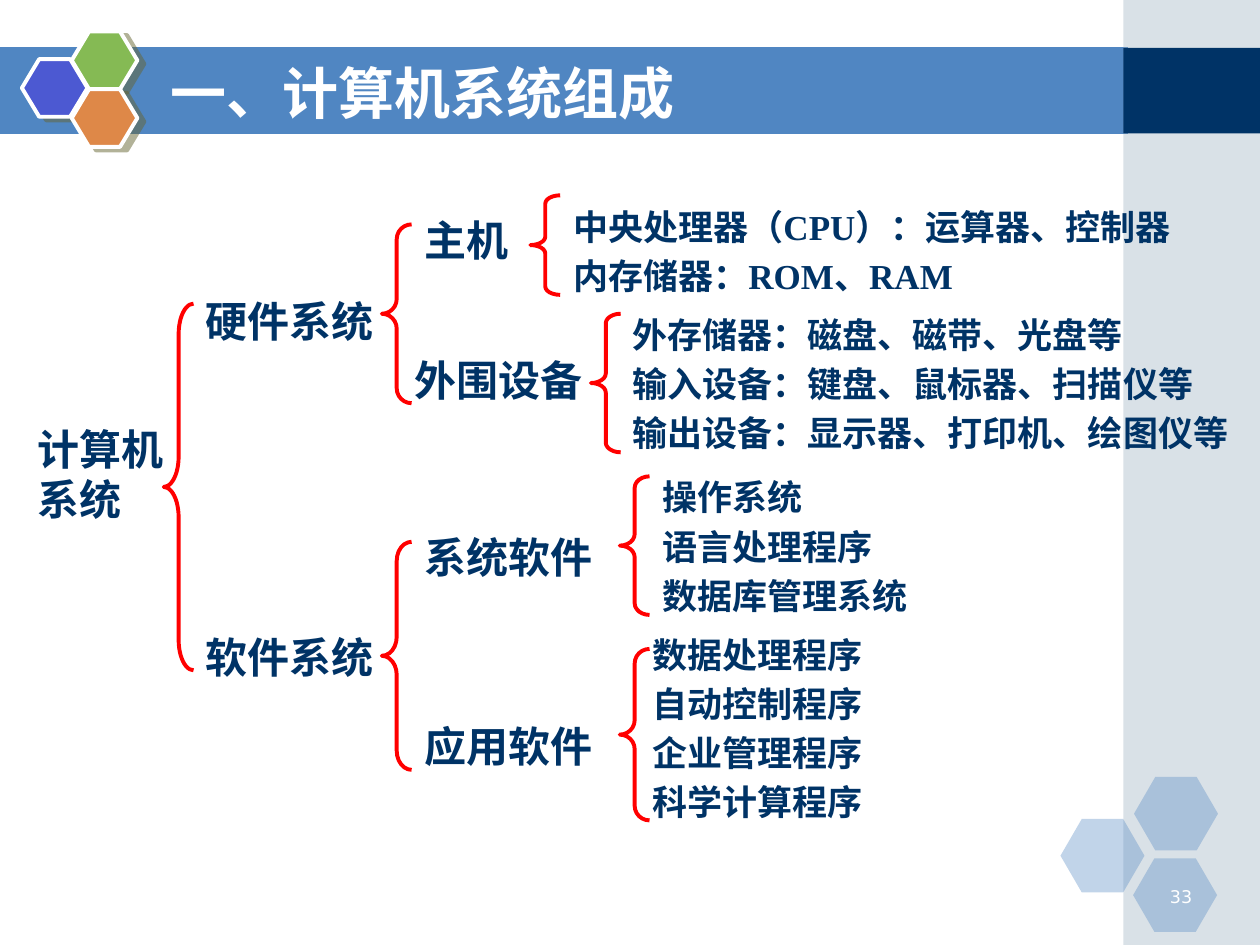
"""Build the slide on the composition of a computer system."""
from typing import NamedTuple, Optional

from lxml.etree import SubElement
from pptx import Presentation
from pptx.dml.color import RGBColor
from pptx.enum.shapes import MSO_SHAPE
from pptx.enum.text import MSO_ANCHOR, MSO_AUTO_SIZE, PP_ALIGN
from pptx.oxml.ns import qn
from pptx.util import Pt

WHITE = RGBColor(0xFF, 0xFF, 0xFF)
NAVY = RGBColor(0x00, 0x33, 0x66)
BLUE = RGBColor(0x50, 0x86, 0xC2)
GREY = RGBColor(0xA0, 0xB5, 0xC4)
INDIGO = RGBColor(0x4C, 0x59, 0xD2)
GREEN = RGBColor(0x85, 0xBA, 0x54)
ORANGE = RGBColor(0xDE, 0x88, 0x48)
RED = RGBColor(0xFF, 0x00, 0x00)
SERIF = "Times New Roman"
SANS = "Noto Sans CJK SC"


class Block(NamedTuple):
    left: float
    top: float
    width: float
    height: float
    color: RGBColor
    kind: MSO_SHAPE = MSO_SHAPE.RECTANGLE
    alpha: Optional[int] = None
    adj: Optional[float] = None
    badge: bool = False


class Label(NamedTuple):
    left: float
    top: float
    width: float
    height: float
    lines: tuple
    size: int = 24


class Brace(NamedTuple):
    left: float
    top: float
    height: float
    adj: float


def corner_hexagon(left: float, top: float) -> Block:
    """Describe a translucent hexagon of the lower corner."""
    return Block(left, top, 48, 42, BLUE, MSO_SHAPE.HEXAGON, 35, 0.29)


def badge_hexagon(left: float, top: float, color: RGBColor) -> Block:
    """Describe an outlined hexagon beside the title."""
    return Block(left, top, 37.5, 33, color, MSO_SHAPE.HEXAGON, None, 0.3, True)


BLOCKS = [
    Block(0, 27, 644.5, 49.5, BLUE),
    Block(642, 0, 78, 540, GREY, alpha=40),
    Block(642, 27.3, 78, 49, NAVY),
    corner_hexagon(606, 468),
    corner_hexagon(648, 444),
    corner_hexagon(647.5, 490.5),
    badge_hexagon(12.5, 33.8, INDIGO),
    badge_hexagon(41, 18, GREEN),
    badge_hexagon(41, 51, ORANGE),
]

LABELS = [
    Label(14.4, 236, 91, 65, ("计算机系统",)),
    Label(110.5, 162.7, 119, 36, ("硬件系统",)),
    Label(110.5, 355, 119, 36, ("软件系统",)),
    Label(235.5, 406, 119, 36, ("应用软件",)),
    Label(235.5, 298, 113, 36, ("系统软件",)),
    Label(229.7, 196.5, 119, 36, ("外围设备",)),
    Label(235.5, 116.7, 73.5, 36, ("主机",)),
    Label(320.4, 111.6, 374.4, 60,
          ("中央处理器（CPU）：运算器、控制器", "内存储器：ROM、RAM"), 20),
    Label(354.2, 173.5, 365.8, 88.5,
          ("外存储器：磁盘、磁带、光盘等", "输入设备：键盘、鼠标器、扫描仪等",
           "输出设备：显示器、打印机、绘图仪等"), 20),
    Label(371.5, 266.4, 164, 88.5,
          ("操作系统", "语言处理程序", "数据库管理系统"), 20),
    Label(365.8, 356.4, 147.6, 117.4,
          ("数据处理程序", "自动控制程序", "企业管理程序", "科学计算程序"), 20),
]

BRACES = [
    Brace(93.6, 173.5, 209.5, 1.02),
    Brace(218.2, 309.6, 130.3, 0.64),
    Brace(354.2, 272.2, 79.2, 0.39),
    Brace(218.2, 128.2, 102.2, 0.5),
    Brace(354.2, 370.8, 98, 0.49),
    Brace(337.7, 179.3, 79.2, 0.32),
    Brace(303.1, 111.6, 56.9, 0.28),
]


def set_font(p, size: int, color: RGBColor, name: str, bold: bool = True) -> None:
    """Format every run of a paragraph."""
    for r in p.runs:
        font = r.font
        font.size, font.bold, font.name = Pt(size), bold, name
        font.color.rgb = color
        SubElement(r._r.get_or_add_rPr(), qn("a:ea"), typeface=SANS)


def add_block(s, block: Block) -> None:
    """Draw a filled decoration."""
    sp = s.shapes.add_shape(block.kind, Pt(block.left), Pt(block.top),
                            Pt(block.width), Pt(block.height))
    sp.shadow.inherit = False
    sp.fill.solid()
    sp.fill.fore_color.rgb = block.color
    if block.adj is not None:
        sp.adjustments[0] = block.adj
    if block.alpha is not None:
        clr = sp._element.spPr.find(".//" + qn("a:srgbClr"))
        SubElement(clr, qn("a:alpha"), val=str(block.alpha * 1000))
    if not block.badge:
        sp.line.fill.background()
        return
    sp.line.color.rgb = WHITE
    sp.line.width = Pt(2.25)
    effects = sp._element.spPr.find(qn("a:effectLst"))
    shadow = SubElement(effects, qn("a:outerShdw"), dist=str(Pt(4.5)),
                        dir=str(27 * 60000), algn="ctr", rotWithShape="0")
    clr = SubElement(shadow, qn("a:srgbClr"), val="666633")
    SubElement(clr, qn("a:alpha"), val="50000")


def add_label(s, label: Label) -> None:
    """Write one node or list of the tree."""
    tf = s.shapes.add_textbox(Pt(label.left), Pt(label.top), Pt(label.width),
                              Pt(label.height)).text_frame
    tf.word_wrap = True
    tf.margin_top = Pt(3.6 + 0.1 * label.size)
    tf.text = "\n".join(label.lines)
    for i, p in enumerate(tf.paragraphs):
        p.line_spacing = Pt(1.2 * label.size)
        p.space_before = Pt(0.2 * label.size if i else 0)
        set_font(p, label.size, NAVY, SERIF)


def add_brace(s, brace: Brace) -> None:
    """Draw a red left brace."""
    sp = s.shapes.add_shape(MSO_SHAPE.LEFT_BRACE, Pt(brace.left), Pt(brace.top),
                            Pt(17), Pt(brace.height))
    sp.shadow.inherit = False
    sp.adjustments[0] = brace.adj
    sp.fill.background()
    sp.line.color.rgb = RED
    sp.line.width = Pt(2.25)


def add_title(s, text: str) -> None:
    """Place the title over the band."""
    sp = s.shapes.title
    sp.left, sp.top, sp.width, sp.height = Pt(90), Pt(30), Pt(528), Pt(45)
    s.shapes._spTree.append(sp._element)
    tf = sp.text_frame
    tf.text = text
    tf.auto_size = MSO_AUTO_SIZE.NONE
    tf.vertical_anchor = MSO_ANCHOR.MIDDLE
    p = tf.paragraphs[0]
    p.alignment = PP_ALIGN.LEFT
    set_font(p, 32, WHITE, SANS)


def add_page_number(s, number: str) -> None:
    """Write the page number in the corner hexagon."""
    tf = s.shapes.add_textbox(Pt(652.3), Pt(502.5), Pt(36), Pt(18)).text_frame
    tf.word_wrap = True
    tf.text = number
    p = tf.paragraphs[0]
    p.alignment = PP_ALIGN.RIGHT
    set_font(p, 10, WHITE, "DejaVu Sans", False)


def main() -> None:
    """Build and save the presentation."""
    prs = Presentation()
    prs.slide_width, prs.slide_height = Pt(720), Pt(540)
    s = prs.slides.add_slide(prs.slide_layouts[5])
    for block in BLOCKS:
        add_block(s, block)
    add_page_number(s, "33")
    add_title(s, "一、计算机系统组成")
    for label in LABELS:
        add_label(s, label)
    for brace in BRACES:
        add_brace(s, brace)
    prs.save("out.pptx")


if __name__ == "__main__":
    main()
